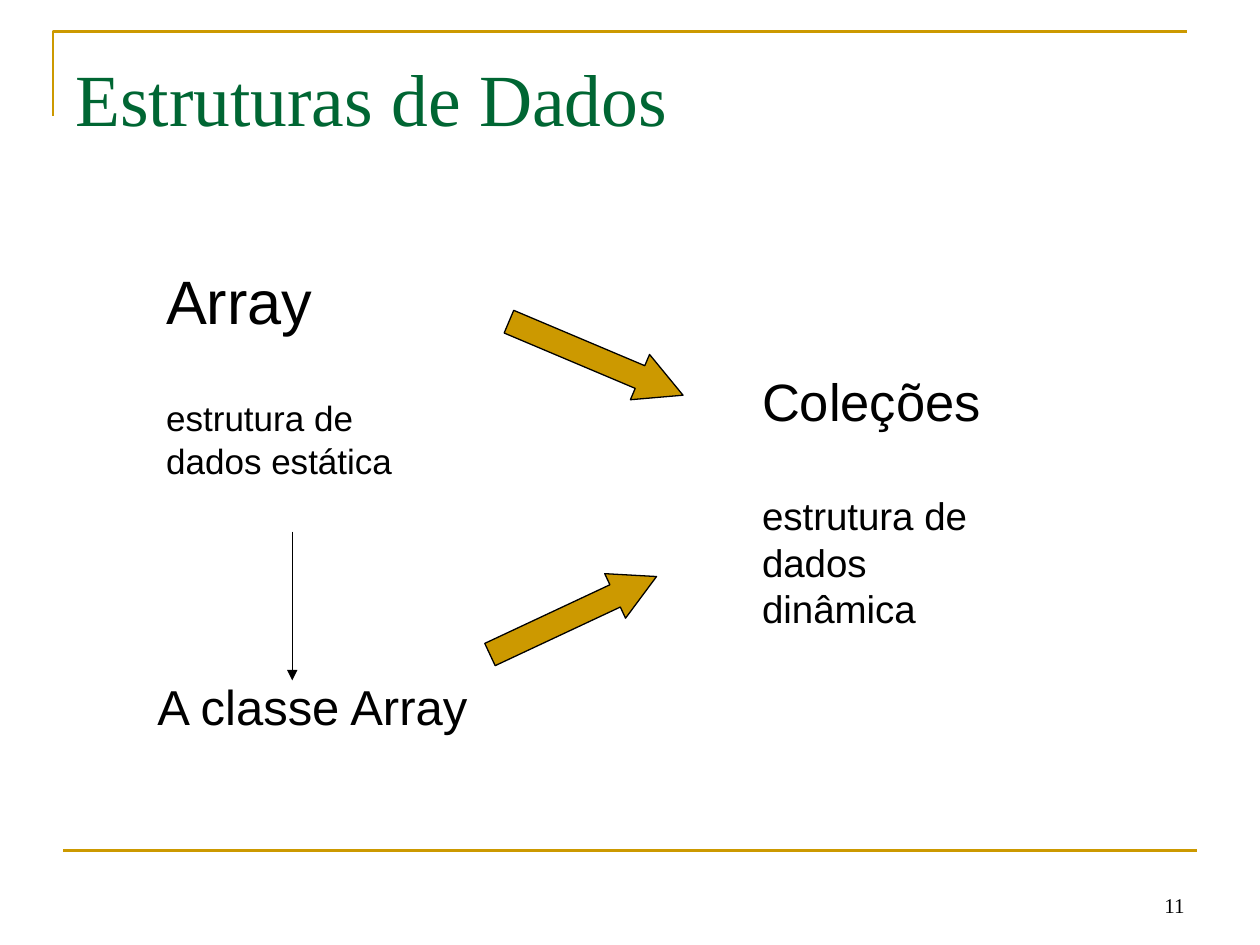
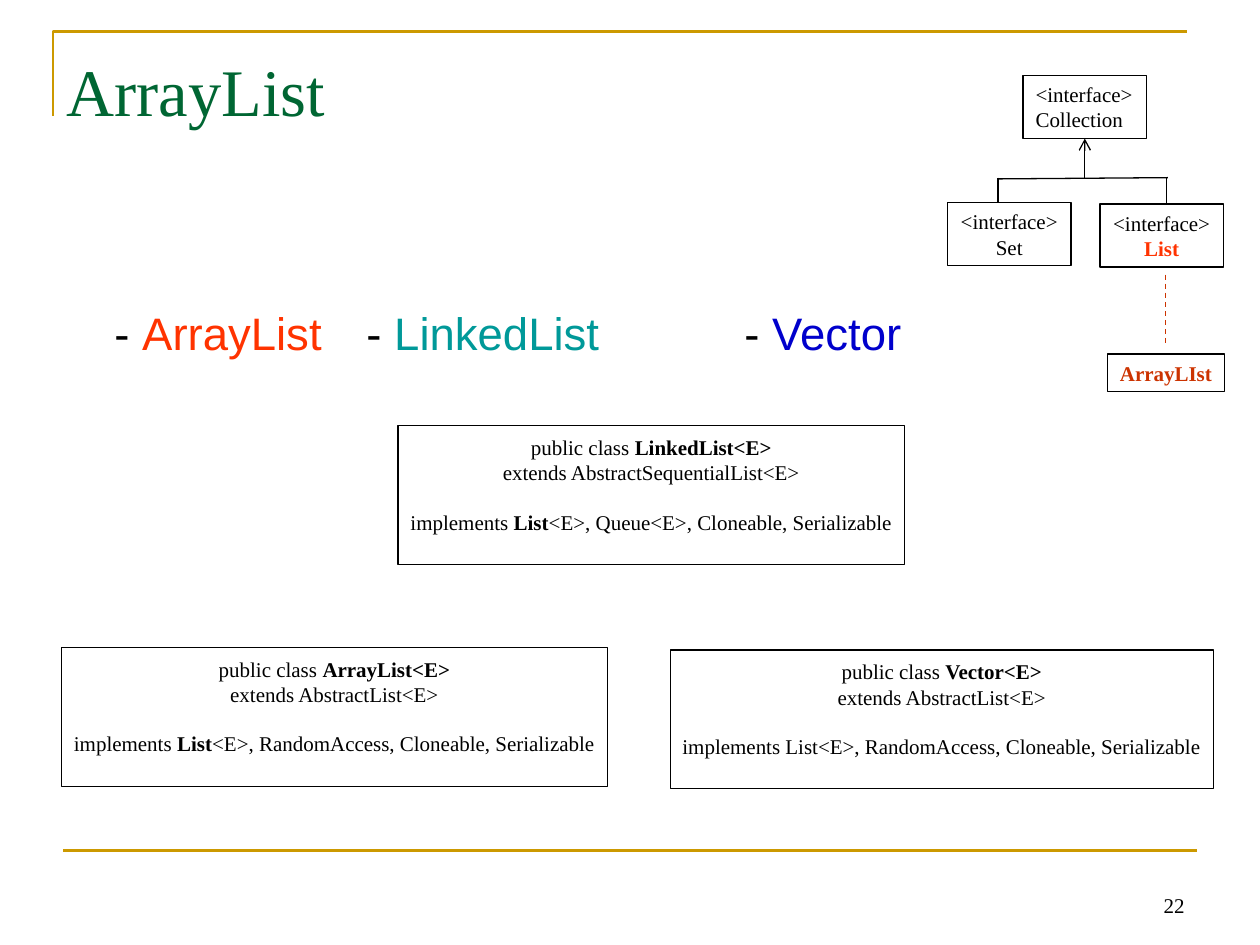
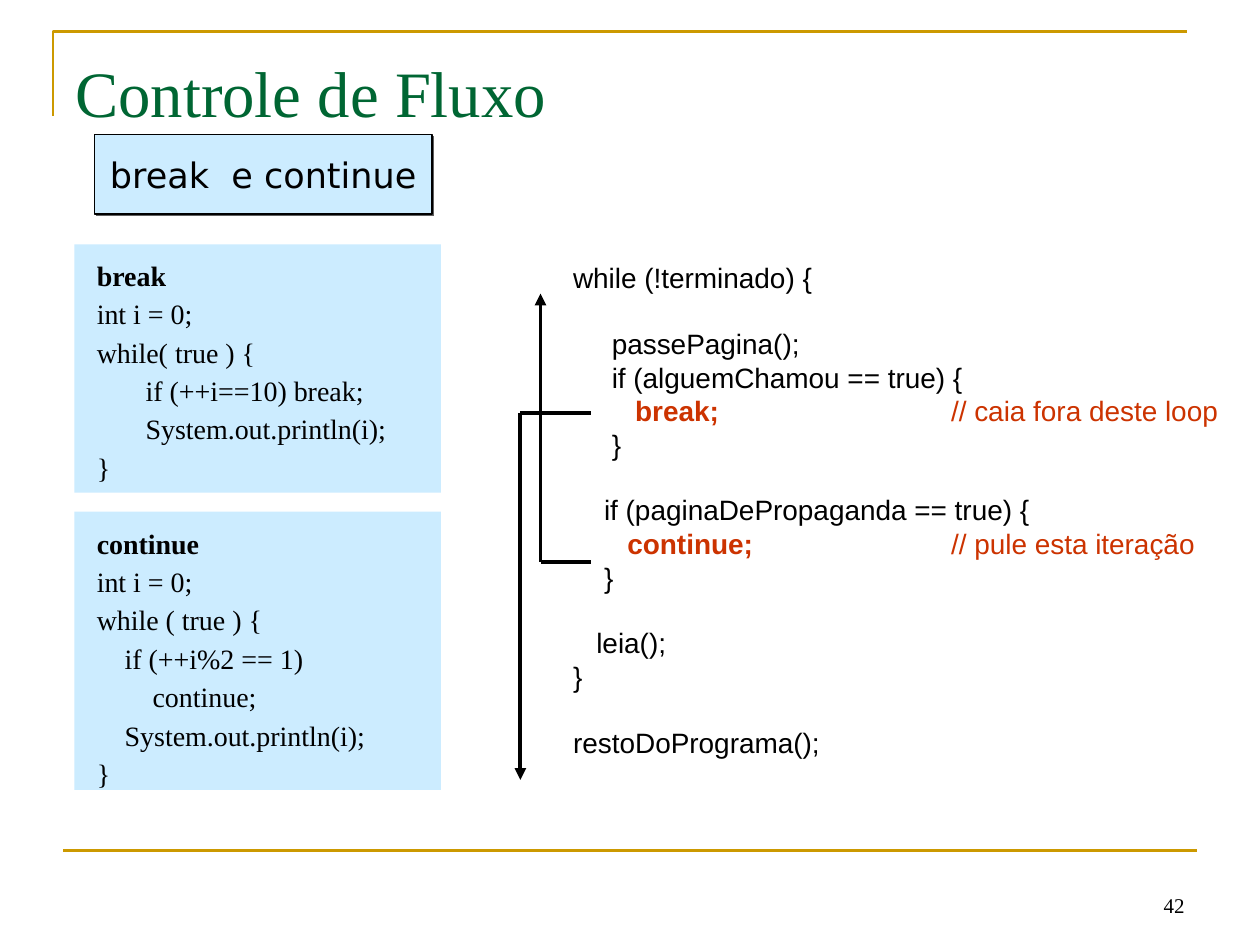
import pptx
import pptx.util
import pptx.dml.color
import pptx.enum.dml
import pptx.enum.shapes
import pptx.enum.text
import pptx.oxml
import pptx.oxml.ns
from lxml import etree

Inches = pptx.util.Inches
Pt = pptx.util.Pt
RGBColor = pptx.dml.color.RGBColor
Align = pptx.enum.text.PP_ALIGN
Anchor = pptx.enum.text.MSO_ANCHOR
Preset = pptx.enum.shapes.MSO_SHAPE
qn = pptx.oxml.ns.qn

BLACK = RGBColor(0x00, 0x00, 0x00)
GREEN = RGBColor(0x00, 0x66, 0x33)
GOLD = RGBColor(0xCC, 0x99, 0x00)
ORANGE = RGBColor(0xFF, 0x33, 0x00)
RUST = RGBColor(0xCC, 0x33, 0x00)
TEAL = RGBColor(0x00, 0x99, 0x99)
BLUE = RGBColor(0x00, 0x00, 0xCC)
PALE_BLUE = RGBColor(0xCC, 0xEC, 0xFF)
SERIF, SANS, LABEL = "Times New Roman", "Arial", "DejaVu Sans"


def run(text, color=BLACK, bold=False):
    return text, color, bold


def line(*runs, size=12, before=0):
    """One paragraph; plain strings become black runs."""
    runs = [run(item) if isinstance(item, str) else item for item in runs]
    return {"runs": runs, "size": size, "before": before}


# title, (left, top, width, height), size, slide number
TITLES = [
    ("Estruturas de Dados", (0.5, 0.3, 9, 1.25), 42, "11"),
    ("ArrayList", (0.43, 0.28, 4.52, 0.6), 38, "22"),
    ("Controle de Fluxo", (0.5, 0.3, 4.34, 0.61), 37, "42"),
]

STATIC_STRUCTURE = [
    line("Array", size=35),
    line("estrutura de", size=20, before=39),
    line("dados estática", size=20, before=5.6),
]
DYNAMIC_STRUCTURE = [
    line("Coleções", size=30),
    line("estrutura de", size=22, before=34.5),
    line("dados dinâmica", size=22),
]
BLOCK_ARROWS = [  # box, rotation, head length
    ((3.98, 2.65, 1.5, 0.39), 22.9, 0.95),
    ((3.82, 4.69, 1.46, 0.39), 334.9, 0.93),
]

IMPLEMENTATIONS = [line(
    "- ", run("ArrayList\t", ORANGE), "- ", run("LinkedList\t", TEAL),
    "- ", run("Vector", BLUE), size=26)]
INTERFACES = [  # name run, left, top, alignment
    (run("Collection"), 8.12, 0.6, Align.LEFT),
    (run("Set"), 7.52, 1.61, Align.CENTER),
    (run("List", ORANGE, True), 8.73, 1.62, Align.CENTER),
]
HIERARCHY_LINES = [
    (7.93, 1.42, 9.27, 1.41),
    (7.92, 1.41, 7.92, 1.61),
    (9.26, 1.41, 9.26, 1.62),
]
CLASSES = [  # name, superclass, runs of the implements line, box
    ("LinkedList<E>", "AbstractSequentialList<E>",
     ["implements ", run("List", bold=True), "<E>, Queue<E>, Cloneable, Serializable"],
     (3.16, 3.38, 4.02, 1.1)),
    ("ArrayList<E>", "AbstractList<E>",
     ["implements ", run("List", bold=True), "<E>, RandomAccess, Cloneable, Serializable"],
     (0.49, 5.14, 4.33, 1.1)),
    ("Vector<E>", "AbstractList<E>",
     ["implements List<E>, RandomAccess, Cloneable, Serializable"],
     (5.32, 5.16, 4.31, 1.1)),
]

CODE_SIZE = 16
EXAMPLE_GAP = 4.7
EXAMPLES = [
    ("break", ["int i = 0;", "while( true ) {", "       if (++i==10) break;",
               "       System.out.println(i);", "}"]),
    ("continue", ["int i = 0;", "while ( true ) {", "    if (++i%2 == 1)",
                  "        continue;", "    System.out.println(i);", "}"]),
]
EXAMPLE_PANELS = [(0.59, 4.06, 2.91, 2.21), (0.59, 1.94, 2.91, 1.97)]
BLANK_LINE = 18.4
READING_LOOP = [  # runs, space before
    (["while (!terminado) {"], 0),
    (["     passePagina();"], BLANK_LINE),
    (["     if (alguemChamou == true) {"], 0),
    (["        ", run("break;\t", RUST, True), run("// caia fora deste loop", RUST)], 0),
    (["     }"], 0),
    (["    if (paginaDePropaganda == true) {"], BLANK_LINE),
    (["       ", run("continue;\t", RUST, True), run("// pule esta iteração", RUST)], 0),
    (["    }"], 0),
    (["   leia();"], BLANK_LINE),
    (["}"], 0),
    (["restoDoPrograma();"], BLANK_LINE),
]
JUMPS = [  # start x, turn x, start y, end y
    (4.69, 4.29, 4.46, 2.33),
    (4.69, 4.13, 3.28, 6.19),
]


def write(shape, lines, font=SERIF, align=Align.LEFT, anchor=Anchor.TOP, wrap=False,
          top_inset=0.05, spacing=None, indent=0, tabs=()):
    frame = shape.text_frame
    frame.word_wrap = wrap
    frame.vertical_anchor = anchor
    frame.margin_left = frame.margin_right = Inches(0.1)
    frame.margin_top, frame.margin_bottom = Inches(top_inset), Inches(0.05)
    for index, content in enumerate(lines):
        paragraph = frame.add_paragraph() if index else frame.paragraphs[0]
        properties = paragraph._p.get_or_add_pPr()
        if indent:
            properties.set("marL", str(Inches(indent)))
        if tabs:
            tab_list = etree.SubElement(properties, qn("a:tabLst"))
            for position in tabs:
                etree.SubElement(tab_list, qn("a:tab"), pos=str(Inches(position)), algn="l")
        paragraph.alignment = align
        if spacing:
            paragraph.line_spacing = spacing
        if content["before"]:
            paragraph.space_before = Pt(content["before"])
        for text, color, bold in content["runs"]:
            piece = paragraph.add_run()
            piece.text = text
            piece.font.name = font
            piece.font.size = Pt(content["size"])
            piece.font.bold = bold
            piece.font.color.rgb = color


def add_text(slide, box, lines, **options):
    shape = slide.shapes.add_textbox(*map(Inches, box))
    write(shape, lines, **options)


def add_box(slide, box, fill=None, outline=BLACK, preset=Preset.RECTANGLE):
    shape = slide.shapes.add_shape(preset, *map(Inches, box))
    shape.shadow.inherit = False
    if fill is None:
        shape.fill.background()
    else:
        shape.fill.solid()
        shape.fill.fore_color.rgb = fill
    if outline is None:
        shape.line.fill.background()
    else:
        shape.line.color.rgb = outline
        shape.line.width = Pt(0.75)
    return shape


def add_line(slide, ends, color=BLACK, width=0.75, head=None):
    """Straight line, with an optional arrowhead at its end."""
    connector = slide.shapes.add_connector(
        pptx.enum.shapes.MSO_CONNECTOR.STRAIGHT, *map(Inches, ends))
    connector.line.color.rgb = color
    connector.line.width = Pt(width)
    if head:
        etree.SubElement(connector.line._get_or_add_ln(), qn("a:tailEnd"), type=head)
    etree.SubElement(connector._element.spPr, qn("a:effectLst"))
    return connector


def add_framed_slide(presentation, title, box, size, number):
    """Blank slide with the gold rules, the title and the slide number."""
    slide = presentation.slides.add_slide(presentation.slide_layouts[6])
    builder = slide.shapes.build_freeform(Inches(0.42), Inches(0.92))
    builder.add_line_segments(
        [(Inches(0.42), Inches(0.25)), (Inches(9.42), Inches(0.25))], close=False)
    corner = builder.convert_to_shape()
    corner.shadow.inherit = False
    corner.fill.background()
    corner.line.color.rgb = GOLD
    corner.line.width = Pt(1.5)
    add_line(slide, (0.5, 6.75, 9.5, 6.75), GOLD, 1.5)
    add_text(slide, (7.17, 6.83, 2.33, 0.5), [line(number)],
             align=Align.RIGHT, anchor=Anchor.BOTTOM, wrap=True)
    add_text(slide, box, [line(run(title, GREEN), size=size)], wrap=True, top_inset=0.12)
    return slide


def draw_structures(slide):
    add_text(slide, (1.22, 2.1, 2.52, 2.24), STATIC_STRUCTURE,
             font=SANS, wrap=True, top_inset=0.1, spacing=0.8)
    for box, rotation, head_length in BLOCK_ARROWS:
        arrow = add_box(slide, box, GOLD, preset=Preset.RIGHT_ARROW)
        arrow.adjustments[0] = 0.5
        arrow.adjustments[1] = head_length
        arrow.rotation = rotation
    add_text(slide, (1.15, 5.32, 2.7, 0.57), [line("A classe Array", size=28)], font=SANS)
    add_line(slide, (2.32, 4.22, 2.32, 5.4), head="triangle")
    add_text(slide, (5.95, 2.88, 2.33, 1.84), DYNAMIC_STRUCTURE, font=SANS)


def draw_array_list(slide):
    add_text(slide, (0.43, 2.33, 8.93, 0.64), IMPLEMENTATIONS,
             font=SANS, wrap=True, top_inset=0.09, indent=0.38, tabs=(2, 5))

    interfaces = []
    for name, left, top, align in INTERFACES:
        box = add_box(slide, (left, top, 0.98, 0.5))
        write(box, [line("<interface>"), line(name)], align=align)
        interfaces.append(box)
    for ends in HIERARCHY_LINES:
        add_line(slide, ends)
    inheritance = add_line(slide, (8.61, 1.42, 8.61, 1.1), head="arrow")
    inheritance.end_connect(interfaces[0], 2)

    for name, parent, implements, box in CLASSES:
        write(add_box(slide, box), [
            line("public class ", run(name, bold=True)),
            line("extends " + parent),
            line(*implements, before=13.8),
        ], align=Align.CENTER, top_inset=0.07)

    write(add_box(slide, (8.79, 2.81, 0.93, 0.3)), [line(run("ArrayLIst", RUST, True))])
    realization = add_line(slide, (9.25, 2.18, 9.25, 2.73), RUST)
    realization.line.dash_style = pptx.enum.dml.MSO_LINE.DASH


def draw_flow_control(slide):
    for panel in EXAMPLE_PANELS:
        add_box(slide, panel, PALE_BLUE, outline=None)

    examples = []
    for keyword, code in EXAMPLES:
        gap = 2 * EXAMPLE_GAP + 0.9 * BLANK_LINE if examples else 0
        examples.append(line(run(keyword, bold=True), size=CODE_SIZE, before=gap))
        examples += [line(text, size=CODE_SIZE, before=EXAMPLE_GAP) for text in code]
    add_text(slide, (0.67, 2.02, 6.06, 4.77), examples,
             wrap=True, top_inset=0.06, spacing=0.9)

    loop = [line(*runs, size=CODE_SIZE, before=before) for runs, before in READING_LOOP]
    add_text(slide, (4.45, 2.02, 5.32, 4.1), loop, font=SANS, tabs=(3,))

    for start_x, turn_x, start_y, end_y in JUMPS:
        add_line(slide, (start_x, start_y, turn_x, start_y), width=2.25)
        add_line(slide, (turn_x, start_y, turn_x, end_y), width=2.25, head="triangle")

    label = add_box(slide, (0.75, 1.07, 2.68, 0.63), PALE_BLUE)
    effects = label._element.spPr.find(qn("a:effectLst"))
    shadow = etree.SubElement(effects, qn("a:outerShdw"), dist=str(Pt(1.4)),
                              dir="2700000", algn="ctr", rotWithShape="0")
    etree.SubElement(shadow, qn("a:srgbClr"), val="5F5F5F")
    write(label, [line("break  e continue", size=20)],
          font=LABEL, align=Align.CENTER, anchor=Anchor.MIDDLE)


def main():
    presentation = pptx.Presentation()
    presentation.slide_width, presentation.slide_height = Inches(10), Inches(7.5)
    drawings = [draw_structures, draw_array_list, draw_flow_control]
    for heading, draw in zip(TITLES, drawings):
        draw(add_framed_slide(presentation, *heading))
    presentation.save("out.pptx")


if __name__ == "__main__":
    main()
